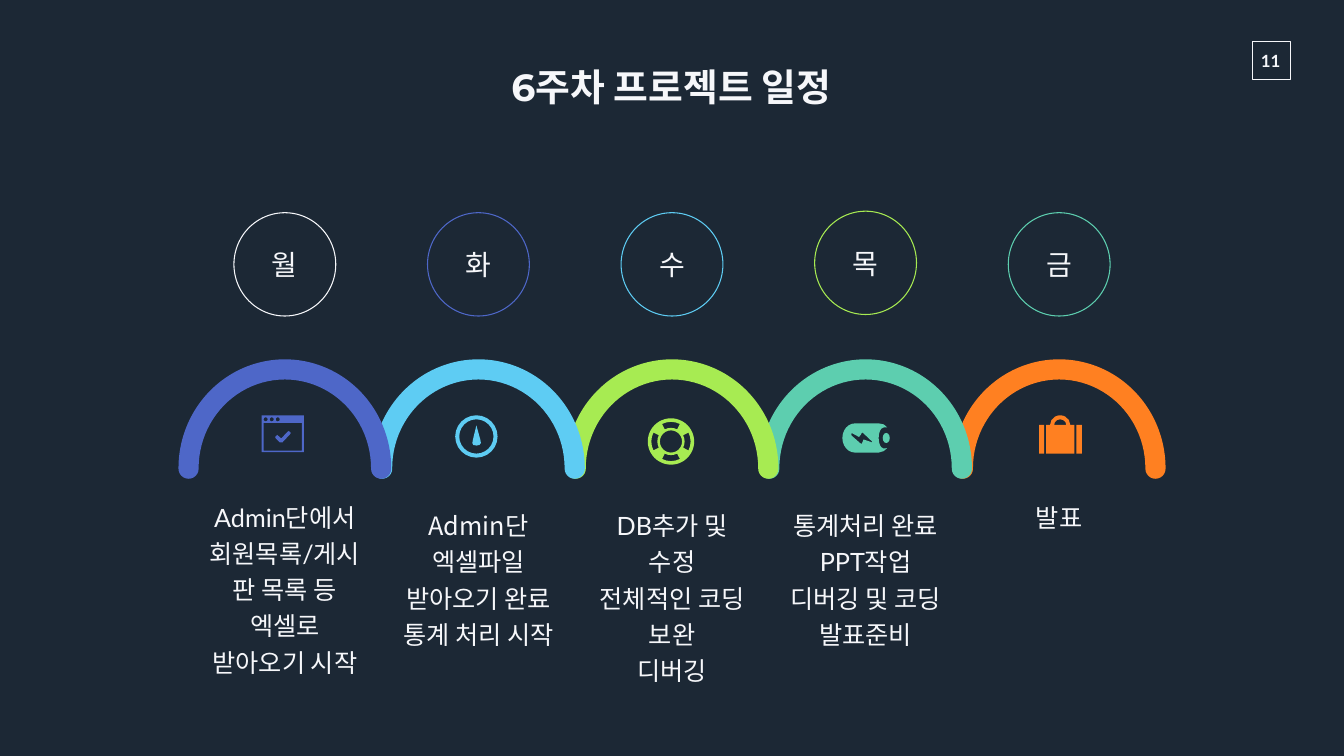
from math import cos, radians, sin

from lxml import etree
from pptx import Presentation
from pptx.dml.color import RGBColor
from pptx.enum.shapes import MSO_SHAPE
from pptx.enum.text import MSO_ANCHOR, PP_ALIGN
from pptx.oxml.ns import qn
from pptx.util import Emu, Pt

RECT, OVAL = MSO_SHAPE.RECTANGLE, MSO_SHAPE.OVAL
TOP, MIDDLE = MSO_ANCHOR.TOP, MSO_ANCHOR.MIDDLE
CENTER = PP_ALIGN.CENTER

PX = 9144  # 100 px to the inch
NAVY, WHITE = "1C2835", "F6F7FA"
BLUE, SKY, LIME, TEAL, ORANGE = "4E67C8", "5ECCF3", "A7EB52", "5DCEAF", "FF8021"
HEAD, BODY, CJK = "Montserrat", "Lato", "Noto Sans CJK JP"


def px(n):
    return Emu(round(n * PX))


def rgb(value):
    return RGBColor.from_string(value)


# Contours: lists of points (x, y) and arcs (cx, cy, rx, ry, start, end) in px
def circle(cx, cy, rx, ry=None):
    ry = ry or rx
    return [(cx, cy, rx, ry, 0, 180), (cx, cy, rx, ry, 180, 360)]


def block(x1, y1, x2, y2):
    return [(x1, y1), (x2, y1), (x2, y2), (x1, y2)]


def sector(c, outer, inner, middle, half):
    return [(c, c, outer, outer, middle - half, middle + half),
            (c, c, inner, inner, middle + half, middle - half)]


# Outlines: width, height, contours
ARCH = (422, 237, [[(211, 216, 211, 216, 180, 360), (402, 217, 20, 20, 0, 180),
                    (211, 216, 171, 176, 360, 180), (20, 217, 20, 20, 0, 180)]])
CHECK = [(27, 43), (31, 39), (39, 46), (51, 33), (54, 31), (58, 35),
         (56, 38), (41, 54), (36, 54), (28, 46)]
WINDOW = (84, 73, [block(0, 0, 84, 73), block(4, 15, 80, 70), CHECK,
                   *[circle(x, 8, 4) for x in (8, 20, 32)]])
NEEDLE = [(42, 20), (50, 49), (51, 55), (48, 59), (42, 60), (36, 59), (34, 55), (35, 49)]
GAUGE = (84, 84, [circle(42, 42, 42), circle(42, 42, 34), NEEDLE])
LIFEBUOY = (93, 93, [circle(46, 46, 46), circle(46, 46, 22),
                     *[sector(46, 39, 27, a, 27) for a in (0, 90, 180, 270)]])
BOLT = [(18, 20), (20, 20), (33, 27), (37, 22), (39, 18), (42, 20), (59, 36),
        (59, 38), (57, 37), (42, 32), (40, 37), (38, 41), (35, 39), (18, 24)]
CASE = [(25, 29, 25, 29, 90, 270), (72, 0), (82, 2), (89, 8),
        (82, 29, 10, 21, 270, 90), (89, 49), (82, 55), (72, 58)]
BATTERY = (94, 58, [CASE, BOLT, circle(87, 29, 7, 10)])
BAG = (85, 76, [block(0, 19, 10, 76), block(74, 19, 85, 76),
                [(42, 19, 20, 19, 180, 360), (70, 19), (70, 76), (14, 76), (14, 19)],
                [(42, 19, 12, 11, 180, 360)]])

# Day, ring colour, ring top, arch colour, icon, icon offset, caption top, font, caption
DAYS = [
    ("월", WHITE, 3, BLUE, WINDOW, (165, 405), 560, BODY,
     ["Admin단에서 회원목록/게시판 목록 등 엑셀로 받아오기 시작"]),
    ("화", BLUE, 3, SKY, GAUGE, (165, 405), 577, CJK,
     ["Admin단 엑셀파일 받아오기 완료", "통계 처리 시작"]),
    ("수", SKY, 3, LIME, LIFEBUOY, (163, 411), 577, BODY,
     ["DB추가 및 수정", "전체적인 코딩 보완", "디버깅"]),
    ("목", LIME, 0, TEAL, BATTERY, (165, 421), 577, BODY,
     ["통계처리 완료", "PPT작업", "디버깅 및 코딩", "발표준비"]),
    ("금", TEAL, 3, ORANGE, BAG, (171, 405), 560, BODY, ["발표"]),
]


def add_contour(geom, contour):
    """Append one closed contour, in tenths of a px."""
    for i, item in enumerate(contour):
        x, y = item[:2]
        if len(item) == 6:
            _, _, rx, ry, start, end = item
            x, y = x + rx * cos(radians(start)), y + ry * sin(radians(start))
        step = etree.SubElement(geom, qn("a:lnTo" if i else "a:moveTo"))
        etree.SubElement(step, qn("a:pt"), x=str(round(x * 10)), y=str(round(y * 10)))
        if len(item) == 6:
            etree.SubElement(geom, qn("a:arcTo"), wR=str(rx * 10), hR=str(ry * 10),
                             stAng=str(start % 360 * 60000), swAng=str((end - start) * 60000))
    etree.SubElement(geom, qn("a:close"))


def add_outline(s, x, y, outline, color):
    w, h, contours = outline
    corners = [(px(a), px(b)) for a, b in block(x, y, x + w, y + h)]
    fb = s.shapes.build_freeform(*corners[0], scale=1.0)
    fb.add_line_segments(corners[1:], close=True)
    sp = fb.convert_to_shape()
    sp.shadow.inherit = False
    sp.fill.solid()
    sp.fill.fore_color.rgb = rgb(color)
    sp.line.fill.background()
    # True arcs take the place of the bounding box
    geom = next(sp._element.iter(qn("a:path")))
    for child in list(geom):
        geom.remove(child)
    geom.set("w", str(w * 10))
    geom.set("h", str(h * 10))
    for contour in contours:
        add_contour(geom, contour)


def add_ring(s, shape, box, color, width):
    sp = s.shapes.add_shape(shape, *map(px, box))
    sp.shadow.inherit = False
    sp.fill.background()
    sp.line.color.rgb = rgb(color)
    sp.line.width = Pt(width)
    return sp


def write(sp, lines, size, font, anchor=MIDDLE, wrap=True, bold=False, spacing=1.0, inset=(10, 5)):
    tf = sp.text_frame
    side, end = map(px, inset)
    frame = {"word_wrap": wrap, "vertical_anchor": anchor, "margin_left": side,
             "margin_right": side, "margin_top": end, "margin_bottom": end}
    for name, value in frame.items():
        setattr(tf, name, value)
    for i, line in enumerate(lines):
        p = tf.paragraphs[0] if i == 0 else tf.add_paragraph()
        p.alignment, p.line_spacing = CENTER, spacing
        r = p.add_run()
        r.text = line
        for name, value in {"name": font, "size": Pt(size), "bold": bold}.items():
            setattr(r.font, name, value)
        r.font.color.rgb = rgb(WHITE)


def add_text(s, box, lines, size, font, **options):
    write(s.shapes.add_textbox(*map(px, box)), lines, size, font, **options)


def page_number(s, x, y, w, h):
    add_ring(s, RECT, (x, y, w, h), WHITE, 1)
    add_text(s, (x - 4, y + 8, w + 6, 61), ["11"], 24, BODY,
             anchor=TOP, wrap=False, bold=True, inset=(20, 10))


def title(s, x, y, w, h):
    add_text(s, (x, y, w, h), ["6주차 프로젝트 일정"], 54, HEAD,
             wrap=False, bold=True, inset=(27, 13))


def day_column(s, x, y, w, h, day):
    name, ring, ring_top, color, icon, (dx, dy), caption_top, font, caption = day
    # Arch and icon
    add_outline(s, x, y + 294, ARCH, color)
    add_outline(s, x + dx, y + dy, icon, color)
    # Day circle
    sp = add_ring(s, OVAL, (x + (w - 202) // 2, y + ring_top, 202, 205), ring, 1.5)
    write(sp, [name], 40, HEAD, inset=(27, 13))
    # Caption
    add_text(s, (x + (w - 332) // 2, y + caption_top, 332, h - caption_top), caption,
             36, font, anchor=TOP, spacing=1.2)


def schedule(s, x, y, w, h):
    pitch = 384
    col = w - pitch * (len(DAYS) - 1)
    # Last day first, so each arch overlaps the next one
    for i, day in reversed(list(enumerate(DAYS))):
        day_column(s, x + i * pitch, y, col, h, day)


def main():
    prs = Presentation()
    prs.slide_width, prs.slide_height = px(2666), px(1500)
    s = prs.slides.add_slide(prs.slide_layouts[6])
    s.background.fill.solid()
    s.background.fill.fore_color.rgb = rgb(NAVY)
    page_number(s, 2484, 82, 75, 75)
    schedule(s, 354, 419, 1958, 1006)
    title(s, 953, 112, 757, 118)
    prs.save("out.pptx")


if __name__ == "__main__":
    main()
